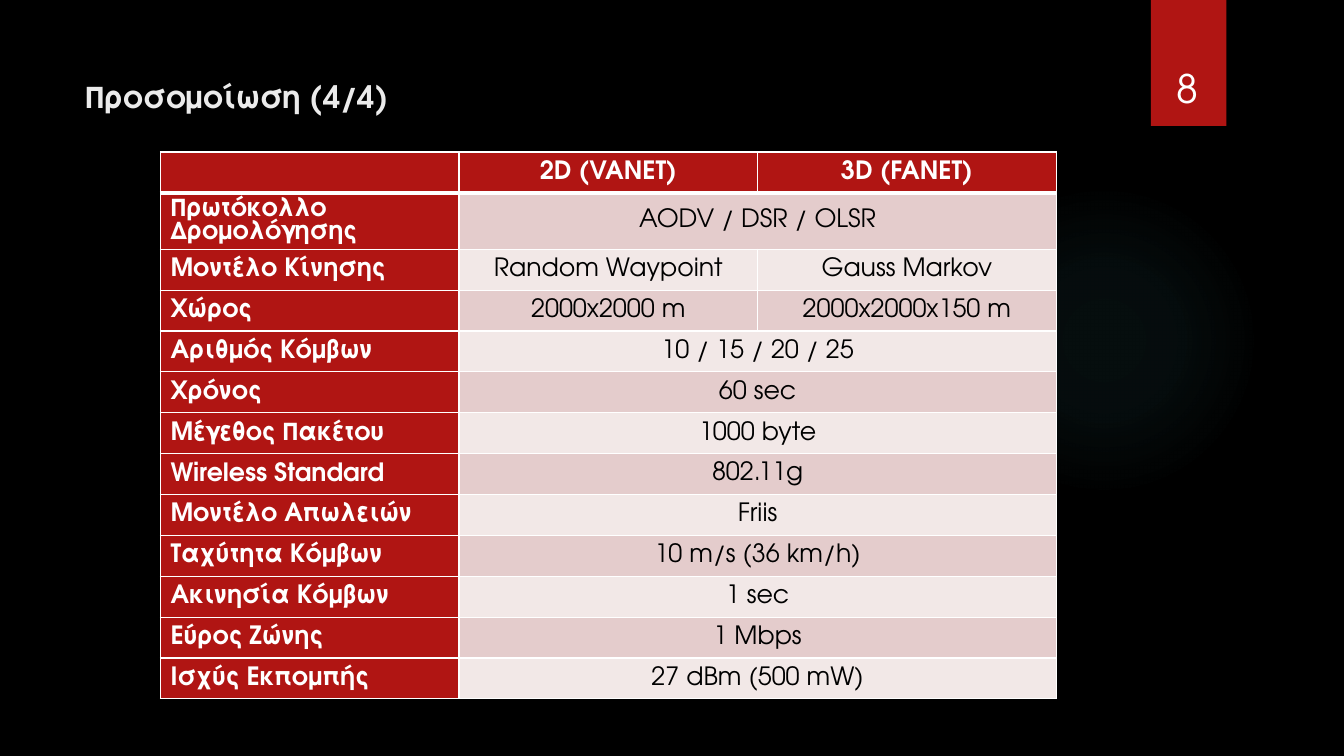
from lxml.etree import SubElement
from pptx import Presentation
from pptx.dml.color import RGBColor
from pptx.enum.shapes import MSO_SHAPE
from pptx.enum.text import MSO_ANCHOR, PP_ALIGN
from pptx.oxml import parse_xml
from pptx.oxml.ns import nsdecls, qn
from pptx.util import Inches, Pt

HUES = {"back": "000000", "red": "B01513", "glow": "50B9C1", "title": "EBEBEB",
        "white": "FFFFFF", "ink": "000000", "rose": "E4CCCC", "pale": "F2E8E7"}
FONT = "TeX Gyre Adventor"
ROWS = [
    ("", "2D (VANET)", "3D (FANET)"),
    ("Πρωτόκολλο Δρομολόγησης", "AODV / DSR / OLSR"),
    ("Μοντέλο Κίνησης", "Random Waypoint", "Gauss Markov"),
    ("Χώρος", "2000x2000 m", "2000x2000x150 m"),
    ("Αριθμός Κόμβων", "10 / 15 / 20 / 25"),
    ("Χρόνος", "60 sec"),
    ("Μέγεθος Πακέτου", "1000 byte"),
    ("Wireless Standard", "802.11g"),
    ("Μοντέλο Απωλειών", "Friis"),
    ("Ταχύτητα Κόμβων", "10 m/s (36 km/h)"),
    ("Ακινησία Κόμβων", "1 sec"),
    ("Εύρος Ζώνης", "1 Mbps"),
    ("Ισχύς Εκπομπής", "27 dBm (500 mW)"),
]


def hue(name):
    return RGBColor.from_string(HUES[name])


def unit(count):
    return Inches(count / 12)


class Deck:
    def __init__(self):
        self.show = Presentation()
        self.show.slide_width, self.show.slide_height = unit(160), unit(90)
        self.slide = self.show.slides.add_slide(self.show.slide_layouts[6])
        fill = self.slide.background.fill
        fill.solid()
        fill.fore_color.rgb = hue("back")

    def style(self, frame, text, size, tint, bold=False, align=PP_ALIGN.LEFT):
        frame.text = text
        frame.word_wrap = True
        para = frame.paragraphs[0]
        para.alignment = align
        for run in para.runs:
            font = run.font
            font.name, font.size, font.bold = FONT, Pt(size), bold
            font.color.rgb = hue(tint)
        return para

    def shape(self, kind, box, tint):
        item = self.slide.shapes.add_shape(kind, *map(unit, box))
        item.shadow.inherit = False
        item.line.fill.background()
        item.fill.solid()
        item.fill.fore_color.rgb = hue(tint)
        return item

    def glow(self, box, tint, stops):
        item = self.shape(MSO_SHAPE.OVAL, box, tint)
        marks = "".join(
            f'<a:gs pos="{spot * 1000}"><a:srgbClr val="{HUES[tint]}">'
            f'<a:alpha val="{alpha * 1000}"/></a:srgbClr></a:gs>' for spot, alpha in stops)
        grad = parse_xml(
            f'<a:gradFill {nsdecls("a")} rotWithShape="1"><a:gsLst>{marks}</a:gsLst>'
            '<a:path path="circle"><a:fillToRect l="50000" t="50000" r="50000" b="50000"/>'
            '</a:path></a:gradFill>')
        props = item.element.spPr
        props.replace(props.find(qn("a:solidFill")), grad)

    def text(self, box, text, size, tint, anchor, **look):
        frame = self.slide.shapes.add_textbox(*map(unit, box)).text_frame
        self.style(frame, text, size, tint, **look)
        frame.vertical_anchor = anchor

    def edge(self, cell, widths):
        props = cell._tc.get_or_add_tcPr()
        for spot, (side, width) in enumerate(zip("LRTB", widths)):
            line = parse_xml(f'<a:ln{side} {nsdecls("a")} w="{Pt(width)}"/>')
            fill = SubElement(line, qn("a:solidFill"))
            SubElement(fill, qn("a:srgbClr"), val=HUES["white"])
            props.insert(spot, line)

    def table(self, left, top, wide, high, rows):
        count = len(rows[0])
        grid = self.slide.shapes.add_table(
            len(rows), count, unit(left), unit(top),
            unit(wide * count), unit(high * len(rows))).table
        for col in grid.columns:
            col.width = unit(wide)
        for i, row in enumerate(rows):
            grid.rows[i].height = unit(high)
            for j in range(count):
                cell = grid.cell(i, j)
                head = i == 0 or j == 0
                cell.fill.solid()
                cell.fill.fore_color.rgb = hue("red" if head else "rose" if i % 2 else "pale")
                cell.vertical_anchor = MSO_ANCHOR.MIDDLE
                self.edge(cell, (1, 1, 3 if i == 1 else 1, 3 if i == 0 else 1))
                if j < len(row):
                    para = self.style(cell.text_frame, row[j], 18, "white" if head else "ink",
                                      head, PP_ALIGN.CENTER if j else PP_ALIGN.LEFT)
                    if i == 1 and j == 0:
                        para.line_spacing = Pt(16.5)
            if len(row) < count:
                grid.cell(i, 1).merge(grid.cell(i, count - 1))


def main():
    deck = Deck()
    deck.glow((112.9, 22, 37, 37), "glow", ((0, 7), (36, 6), (69, 0)))
    deck.shape(MSO_SHAPE.RECTANGLE, (137, 0, 9, 15), "red")
    deck.text((135.8, 3.8, 11, 10.1), "8", 28, "white", MSO_ANCHOR.BOTTOM, align=PP_ALIGN.CENTER)
    deck.text((9, 9, 126.8, 5), "Προσομοίωση (4/4)", 22.1, "title", MSO_ANCHOR.MIDDLE, bold=True)
    deck.table(19.1, 18.1, 35.55, 4.87, ROWS)
    deck.show.save("out.pptx")


if __name__ == "__main__":
    main()
